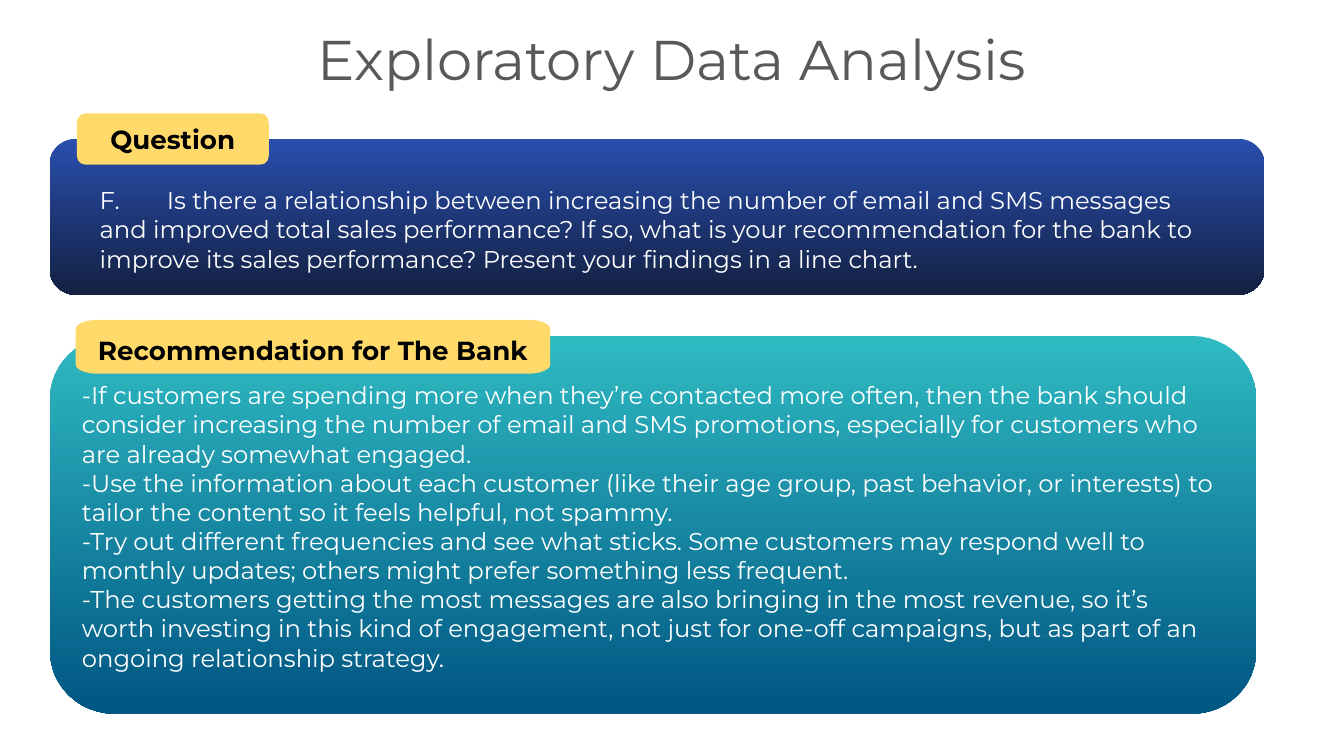
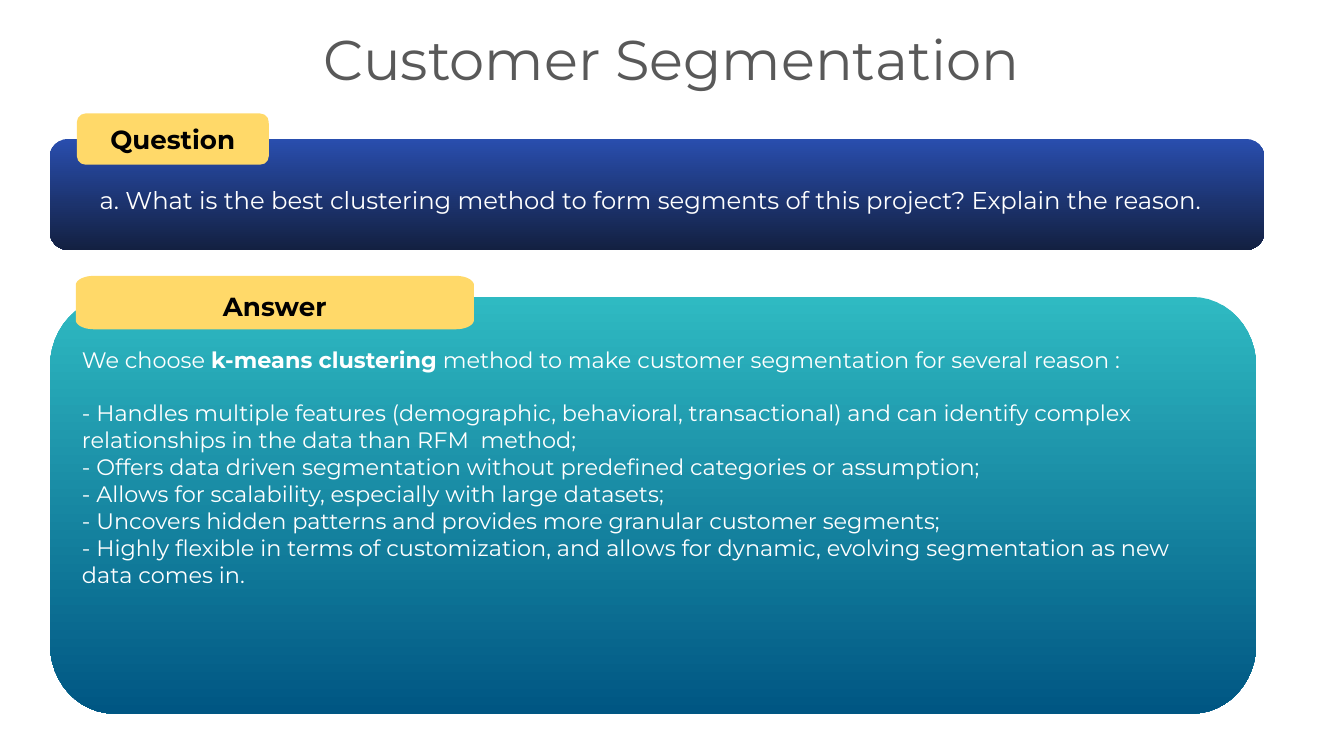
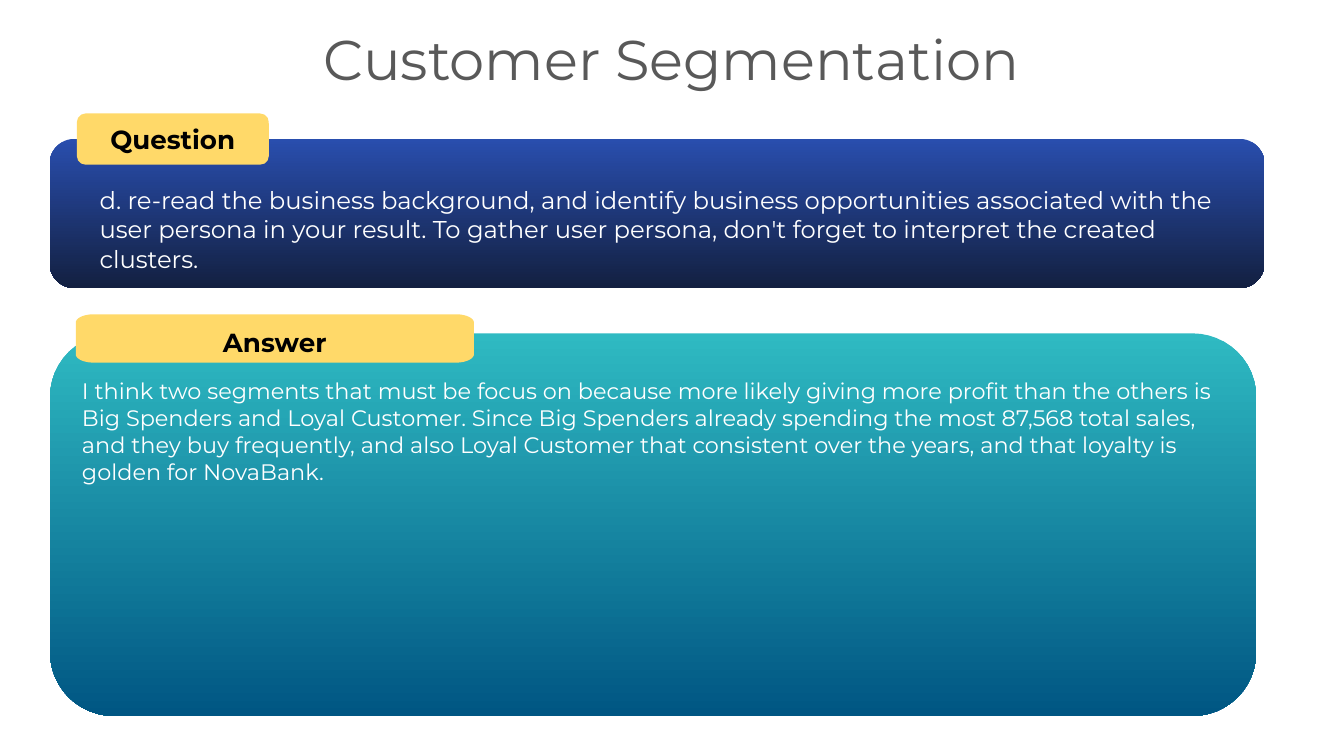
from math import cos, pi, sin

from pptx import Presentation
from pptx.dml.color import RGBColor
from pptx.enum.shapes import MSO_SHAPE
from pptx.enum.text import MSO_ANCHOR, MSO_AUTO_SIZE, PP_ALIGN
from pptx.util import Pt

ROUNDED = MSO_SHAPE.ROUNDED_RECTANGLE
TOP, MIDDLE = MSO_ANCHOR.TOP, MSO_ANCHOR.MIDDLE
LEFT, CENTER = PP_ALIGN.LEFT, PP_ALIGN.CENTER
FIXED, GROW = MSO_AUTO_SIZE.NONE, MSO_AUTO_SIZE.SHAPE_TO_FIT_TEXT

FONT = "Montserrat"
TITLE_ONLY = 5
COLORS = {
    "title": "595959",
    "label": "000000",
    "body": "FFFFFF",
    "tab": "FFD969",
    "question_top": "294EAE",
    "question_bottom": "132041",
    "answer_top": "2FBAC2",
    "answer_bottom": "005683",
}
QUESTION_CORNER = 0.167
# Corner radii as shares of width and height
PANEL_CORNER = (0.053, 0.167)
TAB_CORNER = (0.045, 0.175)
ARC_STEPS = 12


def color(name):
    return RGBColor.from_string(COLORS[name])


def finish(shape, *fill_names):
    """Fill with one colour, or with two from top to bottom; no line or shadow."""
    if len(fill_names) == 1:
        shape.fill.solid()
        shape.fill.fore_color.rgb = color(fill_names[0])
    else:
        shape.fill.gradient()
        shape.fill.gradient_angle = 270
        for stop, name in zip(shape.fill.gradient_stops, fill_names):
            stop.color.rgb = color(name)
    shape.line.fill.background()
    shape.shadow.inherit = False


def set_frame(frame, inset, anchor, auto_size=FIXED):
    frame.word_wrap = True
    frame.auto_size = auto_size
    frame.vertical_anchor = anchor
    frame.margin_left = frame.margin_right = Pt(inset)
    frame.margin_top = frame.margin_bottom = Pt(inset)


def style(para, size, color_name, align=LEFT, bold=False):
    para.alignment = align
    para.font.name = FONT
    para.font.size = Pt(size)
    para.font.bold = bold
    para.font.color.rgb = color(color_name)


def set_label(shape, text, inset, line_spacing=1.0):
    frame = shape.text_frame
    set_frame(frame, inset, MIDDLE)
    para = frame.paragraphs[0]
    para.text = text
    para.line_spacing = line_spacing
    style(para, 14, "label", CENTER, bold=True)


def add_title(page, text):
    title = page.shapes.title
    title.left, title.top, title.width, title.height = Pt(123.8), Pt(7.2), Pt(472.3), Pt(47.5)
    set_frame(title.text_frame, 7.2, MIDDLE)
    title.text_frame.text = text
    style(title.text_frame.paragraphs[0], 30, "title", CENTER)


def add_rounded(page, left, top, width, height, *fill_names):
    box = page.shapes.add_shape(ROUNDED, Pt(left), Pt(top), Pt(width), Pt(height))
    box.adjustments[0] = QUESTION_CORNER
    finish(box, *fill_names)
    return box


def add_soft_box(page, left, top, width, height, corner, *fill_names):
    """Draw a box whose corners are quarter ellipses."""
    radius_x, radius_y = width * corner[0], height * corner[1]
    near_x, far_x = left + radius_x, left + width - radius_x
    near_y, far_y = top + radius_y, top + height - radius_y
    centers = [(far_x, far_y), (near_x, far_y), (near_x, near_y), (far_x, near_y)]
    points = []
    for quarter, (x, y) in enumerate(centers):
        for step in range(ARC_STEPS + 1):
            angle = (quarter + step / ARC_STEPS) * pi / 2
            points.append((Pt(x + radius_x * cos(angle)), Pt(y + radius_y * sin(angle))))
    builder = page.shapes.build_freeform(*points[0])
    builder.add_line_segments(points[1:], close=True)
    box = builder.convert_to_shape()
    finish(box, *fill_names)
    return box


def add_text(page, left, top, width, height, paragraphs, size, inset=0,
             auto_size=FIXED, first_gap=0):
    """Each paragraph is a string, or a list of (text, bold) spans."""
    box = page.shapes.add_textbox(Pt(left), Pt(top), Pt(width), Pt(height))
    frame = box.text_frame
    set_frame(frame, inset, TOP, auto_size)
    for index, content in enumerate(paragraphs):
        para = frame.add_paragraph() if index else frame.paragraphs[0]
        spans = [(content, False)] if isinstance(content, str) else content
        for text, bold in spans:
            span = para.add_run()
            span.text = text
            if bold:
                span.font.bold = True
        style(para, size, "body")
        if index == 1 and first_gap:
            para.space_before = Pt(first_gap)


def add_question(page, height, text_height, text):
    add_rounded(page, 26.6, 74.4, 650.9, height, "question_top", "question_bottom")
    tab = add_rounded(page, 41.2, 60.8, 102.8, 27.4, "tab")
    set_label(tab, "Question", 7.2)
    add_text(page, 46.3, 92.2, 613.4, text_height, [text], 13, 7.2, GROW)


def add_answer(page, label, panel, tab, body, paragraphs, size, first_gap=0):
    """panel is (top, height), tab is (top, width, height), body is (top, height)."""
    add_soft_box(page, 26.8, panel[0], 646.2, panel[1], PANEL_CORNER,
                 "answer_top", "answer_bottom")
    tab_box = add_soft_box(page, 40.6, *tab, TAB_CORNER, "tab")
    set_label(tab_box, label, 2, 1.2)
    add_text(page, 43.9, body[0], 611.3, body[1], paragraphs, size, first_gap=first_gap)


def add_page(deck, title):
    page = deck.slides.add_slide(deck.slide_layouts[TITLE_ONLY])
    add_title(page, title)
    return page


def main():
    deck = Presentation()
    deck.slide_width, deck.slide_height = Pt(720), Pt(405)

    # Messages and sales
    page = add_page(deck, "Exploratory Data Analysis")
    add_question(
        page, 83.5, 74.9,
        "F.\tIs there a relationship between increasing the number of email and SMS "
        "messages and improved total sales performance? If so, what is your "
        "recommendation for the bank to improve its sales performance? Present your "
        "findings in a line chart.")
    add_answer(
        page, "Recommendation for The Bank",
        (180, 202.3), (171.4, 254.2, 28.8), (203.8, 147.6),
        ["-If customers are spending more when they’re contacted more often, then the "
         "bank should consider increasing the number of email and SMS promotions, "
         "especially for customers who are already somewhat engaged.",
         "-Use the information about each customer (like their age group, past behavior, "
         "or interests) to tailor the content so it feels helpful, not spammy.",
         "-Try out different frequencies and see what sticks. Some customers may respond "
         "well to monthly updates; others might prefer something less frequent.",
         "-The customers getting the most messages are also bringing in the most revenue, "
         "so it’s worth investing in this kind of engagement, not just for one-off "
         "campaigns, but as part of an ongoing relationship strategy."],
        13)

    # Clustering method
    page = add_page(deck, "Customer Segmentation")
    add_question(
        page, 59.5, 30.2,
        "a. What is the best clustering method to form segments of this project? "
        "Explain the reason.")
    add_answer(
        page, "Answer",
        (159.1, 223.2), (147.8, 213.3, 28.6), (185.2, 163.4),
        [[("We choose ", False), ("k-means clustering", True),
          (" method to make customer segmentation for several reason :", False)],
         "- Handles multiple features (demographic, behavioral, transactional) and can "
         "identify complex relationships in the data than RFM  method;",
         "- Offers data driven segmentation without predefined categories or assumption;",
         "- Allows for scalability, especially with large datasets;",
         "- Uncovers hidden patterns and provides more granular customer segments;",
         "- Highly flexible in terms of customization, and allows for dynamic, evolving "
         "segmentation as new data comes in."],
        12, first_gap=14.5)

    # Business opportunities
    page = add_page(deck, "Customer Segmentation")
    add_question(
        page, 79.9, 61.9,
        "d. re-read the business background, and identify business opportunities "
        "associated with the user persona in your result. To gather user persona, don't "
        "forget to interpret the created clusters.")
    add_answer(
        page, "Answer",
        (178.6, 205), (168.4, 213.3, 25.9), (202.3, 149),
        ["I think two segments that must be focus on because more likely giving more "
         "profit than the others is Big Spenders and Loyal Customer. Since Big Spenders "
         "already spending the most 87,568 total sales, and they buy frequently, and also "
         "Loyal Customer that consistent over the years, and that loyalty is golden for "
         "NovaBank."],
        12)

    deck.save("out.pptx")


if __name__ == "__main__":
    main()
